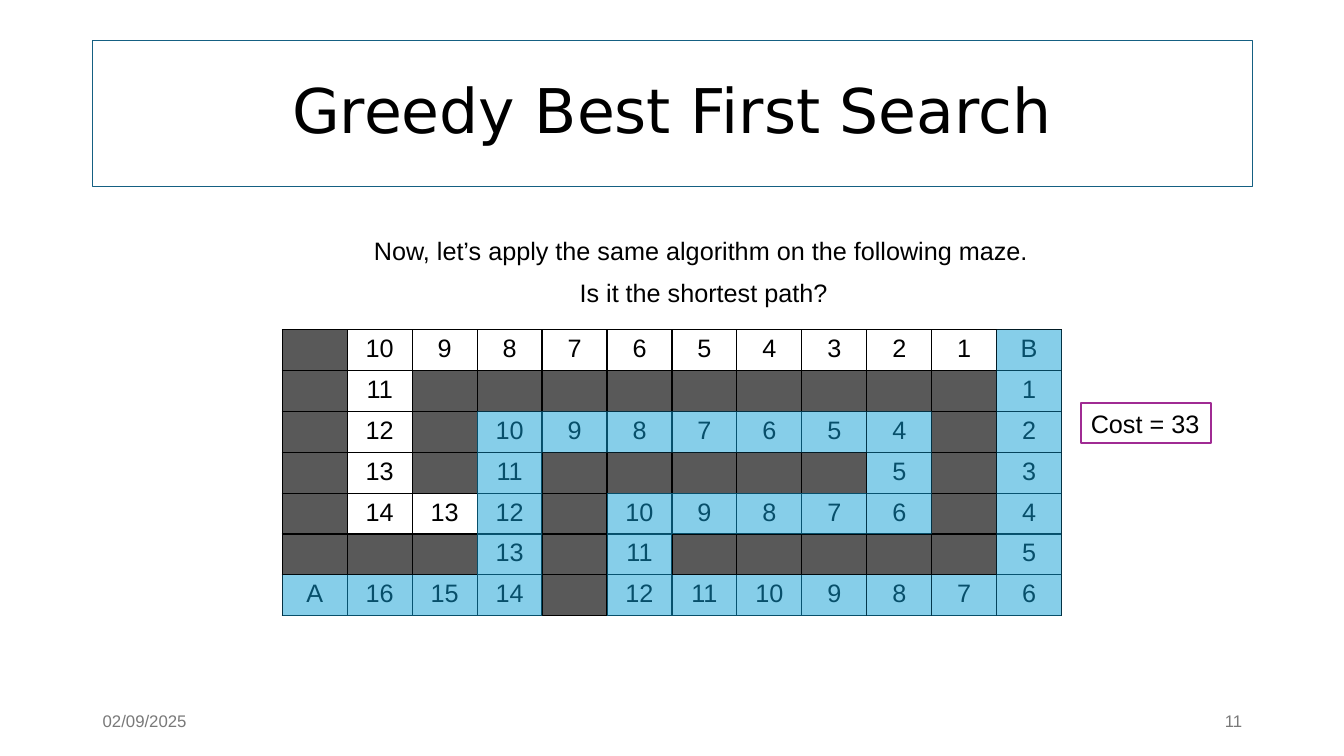
from lxml import etree
from pptx import Presentation
from pptx.dml.color import RGBColor
from pptx.enum import shapes, text
from pptx.oxml import ns
from pptx.util import Inches, Pt

BLACK = RGBColor(0x00, 0x00, 0x00)
WHITE = RGBColor(0xFF, 0xFF, 0xFF)
WALL = RGBColor(0x59, 0x59, 0x59)
GREY = RGBColor(0x79, 0x79, 0x79)
TEAL = RGBColor(0x15, 0x60, 0x82)
BLUE = RGBColor(0x0F, 0x9E, 0xD5)
PURPLE = RGBColor(0xA0, 0x2B, 0x93)

MAZE = [row.split() for row in (
    "# 10 9 8 7 6 5 4 3 2 1 B",
    "# 11 # # # # # # # # # 1",
    "# 12 # 10 9 8 7 6 5 4 # 2",
    "# 13 # 11 # # # # # 5 # 3",
    "# 14 13 12 # 10 9 8 7 6 # 4",
    "# # # 13 # 11 # # # # # 5",
    "A 16 15 14 # 12 11 10 9 8 7 6",
)]
START = (6, 0)
RIGHT, LEFT, UP, DOWN = (0, 1), (0, -1), (-1, 0), (1, 0)
MOVES = [(RIGHT, 3), (UP, 4), (RIGHT, 6), (DOWN, 2),
         (LEFT, 4), (DOWN, 2), (RIGHT, 6), (UP, 6)]
MAZE_LEFT, MAZE_TOP, MAZE_WIDTH, MAZE_HEIGHT = 2.8, 3.27, 7.73, 2.84
CELL_WIDTH = MAZE_WIDTH / len(MAZE[0])
CELL_HEIGHT = MAZE_HEIGHT / len(MAZE)


def walk_route():
    """Return every cell visited from A to B."""
    cells = [START]
    for (row_step, column_step), count in MOVES:
        for _ in range(count):
            row, column = cells[-1]
            cells.append((row + row_step, column + column_step))
    return cells


class SlideBuilder:
    """Holds the text style and the slide being drawn."""

    def __init__(self, slide, font="Arial", size=18):
        self.slide = slide
        self.font = font
        self.size = size

    def set_text(self, frame, words, size=None, font=None, color=BLACK,
                 align=text.PP_ALIGN.LEFT, spacing=None):
        """Put one styled paragraph into a text frame."""
        frame.text = words
        paragraph = frame.paragraphs[0]
        paragraph.alignment = align
        if spacing:
            paragraph.line_spacing = spacing
        for run in paragraph.runs:
            run.font.name = font or self.font
            run.font.size = Pt(size or self.size)
            run.font.color.rgb = color

    def textbox(self, words, left, top, width, height, wrap=False,
                anchor=text.MSO_ANCHOR.TOP, **style):
        """Add a plain text box."""
        frame = self.slide.shapes.add_textbox(
            Inches(left), Inches(top), Inches(width), Inches(height)).text_frame
        frame.word_wrap = wrap
        frame.vertical_anchor = anchor
        self.set_text(frame, words, **style)

    def rectangle(self, left, top, width, height, fill=None, alpha=None,
                  line=None, line_width=0.75):
        """Add a rectangle, optionally filled, translucent or outlined."""
        shape = self.slide.shapes.add_shape(
            shapes.MSO_SHAPE.RECTANGLE,
            Inches(left), Inches(top), Inches(width), Inches(height))
        shape.shadow.inherit = False
        if fill is None:
            shape.fill.background()
        else:
            shape.fill.solid()
            shape.fill.fore_color.rgb = fill
        if alpha is not None:
            color = shape.element.spPr.find(".//" + ns.qn("a:srgbClr"))
            etree.SubElement(color, ns.qn("a:alpha"), val=str(alpha * 1000))
        if line is None:
            shape.line.fill.background()
        else:
            shape.line.color.rgb = line
            shape.line.width = Pt(line_width)
        return shape

    def border(self, cell):
        """Draw a thin black line on all four sides of a cell."""
        properties = cell._tc.get_or_add_tcPr()
        for index, side in enumerate(("lnL", "lnR", "lnT", "lnB")):
            line = etree.Element(ns.qn("a:" + side), w=str(Pt(1)))
            fill = etree.SubElement(line, ns.qn("a:solidFill"))
            etree.SubElement(fill, ns.qn("a:srgbClr"), val=str(BLACK))
            properties.insert(index, line)

    def maze(self):
        """Add the maze table with its walls and heuristic values."""
        table = self.slide.shapes.add_table(
            len(MAZE), len(MAZE[0]), Inches(MAZE_LEFT), Inches(MAZE_TOP),
            Inches(MAZE_WIDTH), Inches(MAZE_HEIGHT)).table
        for column in table.columns:
            column.width = Inches(CELL_WIDTH)
        for row, values in enumerate(MAZE):
            table.rows[row].height = Inches(CELL_HEIGHT)
            for column, value in enumerate(values):
                cell = table.cell(row, column)
                cell.fill.solid()
                cell.fill.fore_color.rgb = WALL if value == "#" else WHITE
                if value != "#":
                    self.set_text(cell.text_frame, value, align=text.PP_ALIGN.CENTER)
                self.border(cell)

    def route_overlay(self):
        """Tint the cells that the search visits."""
        for row, column in walk_route():
            self.rectangle(MAZE_LEFT + column * CELL_WIDTH,
                           MAZE_TOP + row * CELL_HEIGHT,
                           CELL_WIDTH, CELL_HEIGHT, fill=BLUE, alpha=50)


def main():
    """Build and save the slide."""
    presentation = Presentation()
    presentation.slide_width = Inches(13.33)
    presentation.slide_height = Inches(7.5)
    builder = SlideBuilder(presentation.slides.add_slide(presentation.slide_layouts[6]))

    title = builder.rectangle(0.92, 0.4, 11.5, 1.45, line=TEAL)
    builder.set_text(title.text_frame, "Greedy Best First Search", size=44,
                     font="DejaVu Sans", align=text.PP_ALIGN.CENTER, spacing=0.9)
    footer = dict(wrap=True, anchor=text.MSO_ANCHOR.MIDDLE, size=12, color=GREY)
    builder.textbox("02/09/2025", 0.92, 6.95, 3, 0.4, **footer)
    builder.textbox("11", 9.42, 6.95, 3, 0.4, align=text.PP_ALIGN.RIGHT, **footer)

    builder.maze()
    builder.route_overlay()
    builder.textbox("Now, let’s apply the same algorithm on the following maze.",
                    3.61, 2.29, 6.75, 0.4)
    builder.textbox("Is it the shortest path?", 5.65, 2.7, 2.68, 0.4)
    cost = builder.rectangle(10.72, 4, 1.29, 0.4, fill=WHITE, line=PURPLE, line_width=1.5)
    cost.text_frame.word_wrap = False
    builder.set_text(cost.text_frame, "Cost = 33")

    presentation.save("out.pptx")


if __name__ == "__main__":
    main()
